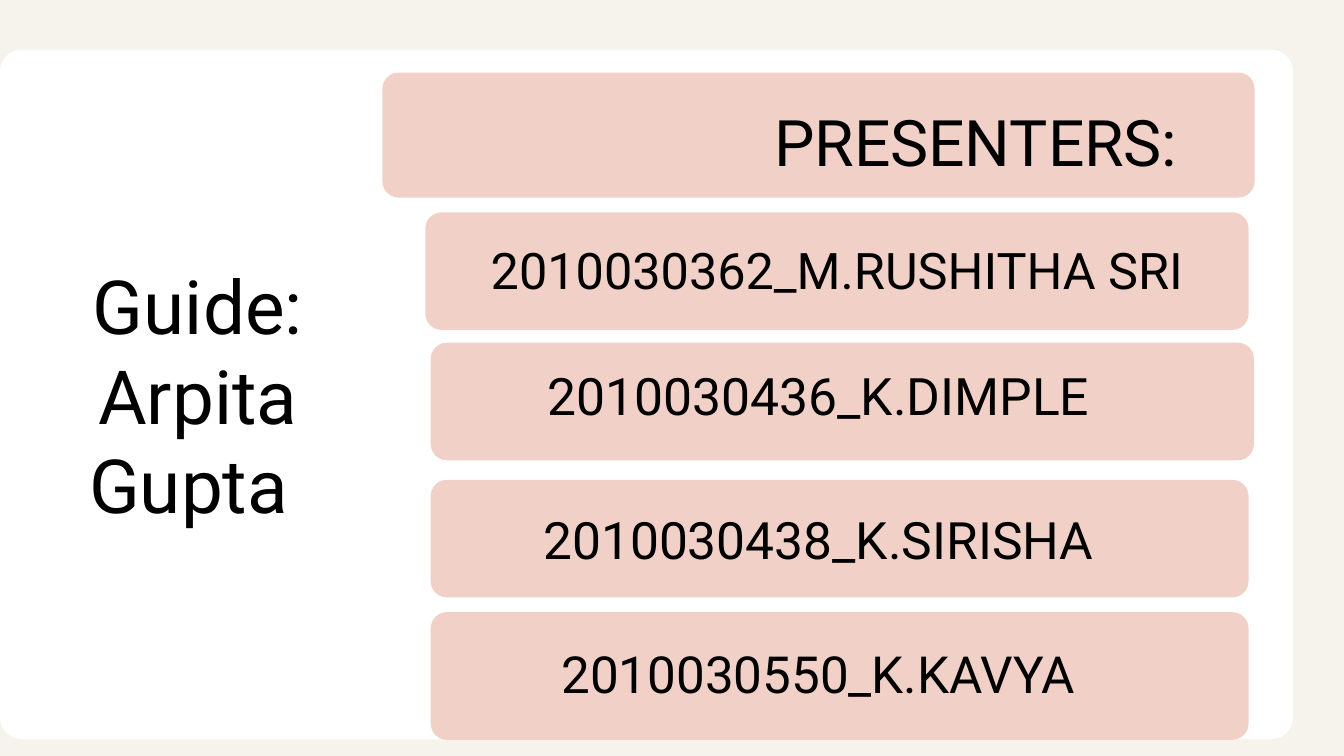
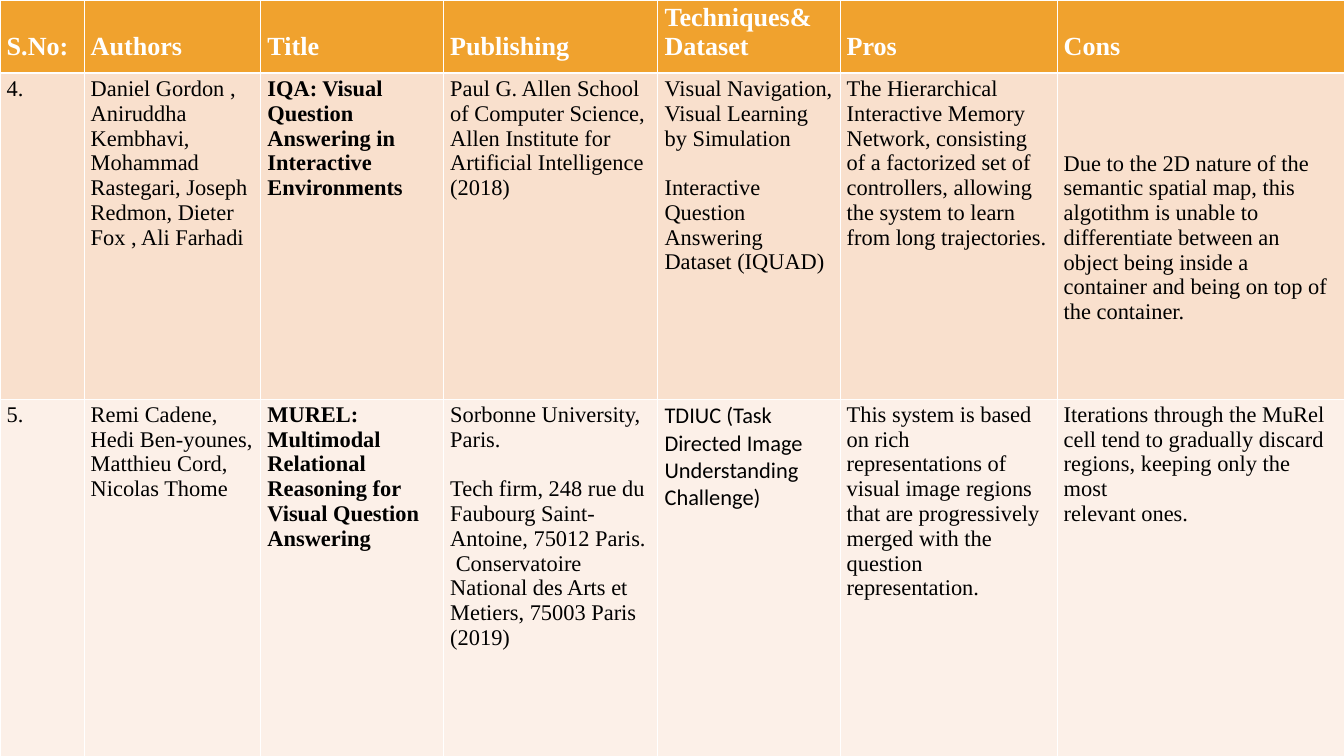
from lxml import etree
from pptx import Presentation, util as u
from pptx.dml import color
from pptx.enum import shapes, text
from pptx.oxml import ns

BACK, WHITE, BLACK = "F6F2EC", "FFFFFF", "000000"
PINK, HEAD = "F1D1C7", "F0A22E"
BANDS = ["F9E0CD", "FCF0E8"]
SANS, SERIF = "Roboto", "Times New Roman"

# Each presenter: text, size, line pitch, bar (left, top, width, height), text box
BARS = [
    ("PRESENTERS:", 68.7, 82.5, (5.69, 1.08, 12.98, 1.86), (10.46, 1.52, 8.13, 1.15)),
    ("2010030362_M.RUSHITHA SRI", 54, 58.5, (6.33, 3.16, 12.25, 1.75), (6.69, 3.65, 11.53, 0.83)),
    ("2010030436_K.DIMPLE", 55.3, 66.3, (6.41, 5.1, 12.25, 1.75), (7.34, 5.41, 9.68, 0.92)),
    ("2010030438_K.SIRISHA", 55.2, 66.2, (6.41, 7.14, 12.17, 1.75), (7.73, 7.56, 8.9, 0.92)),
    ("2010030550_K.KAVYA", 54.8, 65.8, (6.41, 9.11, 12.17, 1.9), (7.86, 9.56, 8.64, 0.9)),
]

COLS = [1.25, 2.63, 2.72, 3.19, 2.71, 3.23, 4.27]
ROWS = [1.09, 4.85, 5.31]
LINE = 1.11
TITLES = [["S.No:"], ["Authors"], ["Title"], ["Publishing"],
          ["Techniques&", "Dataset"], ["Pros"], ["Cons"]]
PAPERS = [
    [["4."],
     ["Daniel Gordon , Aniruddha Kembhavi, Mohammad Rastegari, Joseph Redmon, "
      "Dieter Fox , Ali Farhadi"],
     ["IQA: Visual Question Answering in Interactive Environments"],
     ["Paul G. Allen School of Computer Science,",
      "Allen Institute for Artificial Intelligence", "(2018)"],
     ["Visual Navigation,", "Visual Learning by Simulation",
      "Interactive Question Answering Dataset (IQUAD)"],
     ["The Hierarchical Interactive Memory Network, consisting of a factorized set of "
      "controllers, allowing the system to learn from long trajectories."],
     ["Due to the 2D nature of the semantic spatial map, this algotithm is unable to "
      "differentiate between an object being inside a container and being on top of "
      "the container."]],
    [["5."],
     ["Remi Cadene,", "Hedi Ben-younes,", "Matthieu Cord,", "Nicolas Thome"],
     ["MUREL: Multimodal Relational Reasoning for Visual Question Answering"],
     ["Sorbonne University, Paris.",
      "Tech firm, 248 rue du Faubourg Saint-Antoine, 75012 Paris.",
      " Conservatoire National des Arts et Metiers, 75003 Paris (2019)"],
     ["TDIUC (Task Directed Image Understanding Challenge)"],
     ["This system is based on rich representations of visual image regions that are "
      "progressively merged with the question representation."],
     ["Iterations through the MuRel cell tend to gradually discard regions, keeping "
      "only the most", "relevant ones."]],
]
GAPS = {(1, 4): 2, (2, 3): 1}
DROPS = {(1, 6): 3}
FONTS = {(2, 4): "Calibri"}


def paint(fill, shade):
    """Give a fill one solid colour."""
    fill.solid()
    fill.fore_color.rgb = color.RGBColor.from_string(shade)


def write(frame, lines, size=24, font=SANS, shade=BLACK, bold=False,
          align=text.PP_ALIGN.LEFT, pitch=None, gap=None):
    """Write lines as paragraphs, with a blank line's space before line number gap."""
    frame.word_wrap = True
    for i, line in enumerate(lines):
        para = frame.paragraphs[0] if i == 0 else frame.add_paragraph()
        para.alignment = align
        if pitch:
            para.line_spacing = u.Pt(pitch)
        if i == gap:
            para.space_before = u.Pt(size * LINE)
        run = para.add_run()
        run.text = line
        run.font.size, run.font.name, run.font.bold = u.Pt(size), font, bold
        run.font.color.rgb = color.RGBColor.from_string(shade)


def label(slide, area, lines, **form):
    """Add a centred text box without margins."""
    frame = slide.shapes.add_textbox(*map(u.Inches, area)).text_frame
    frame.margin_left = frame.margin_right = frame.margin_top = frame.margin_bottom = 0
    write(frame, lines, align=text.PP_ALIGN.CENTER, **form)


def panel(slide, area, shade, curve):
    """Add a plain box with corners of the given radius."""
    box = slide.shapes.add_shape(shapes.MSO_SHAPE.ROUNDED_RECTANGLE, *map(u.Inches, area))
    box.adjustments[0] = curve / min(area[2:])
    box.shadow.inherit = False
    paint(box.fill, shade)
    box.line.fill.background()


def edge(cell, **widths):
    """Draw white cell borders; keys are L, R, T and B, widths in points."""
    props = cell._tc.get_or_add_tcPr()
    for i, (side, width) in enumerate(widths.items()):
        line = etree.Element(ns.qn(f"a:ln{side}"), w=str(u.Pt(width)))
        fill = etree.SubElement(line, ns.qn("a:solidFill"))
        etree.SubElement(fill, ns.qn("a:srgbClr"), val=WHITE)
        props.insert(i, line)


def page(deck):
    """Add a blank slide with the shared background."""
    slide = deck.slides.add_slide(deck.slide_layouts[6])
    paint(slide.background.fill, BACK)
    return slide


def people(deck):
    """Build the slide that names the guide and the presenters."""
    slide = page(deck)
    panel(slide, (0, 0.74, 19.24, 10.26), WHITE, 0.32)
    label(slide, (1.12, 3.87, 3.65, 4.01), ["Guide:", "Arpita", "Gupta "], size=80, pitch=96)
    for name, size, pitch, bar, area in BARS:
        panel(slide, bar, PINK, 0.24)
        label(slide, area, [name], size=size, pitch=pitch)


def papers(deck):
    """Build the slide with the table of papers."""
    data = [TITLES] + PAPERS
    area = (0, 0, sum(COLS), sum(ROWS))
    grid = page(deck).shapes.add_table(len(ROWS), len(COLS), *map(u.Inches, area)).table
    for col, width in zip(grid.columns, COLS):
        col.width = u.Inches(width)
    for r, row in enumerate(data):
        grid.rows[r].height = u.Inches(ROWS[r])
        top = r == 0
        size = 28 if top else 24
        for c, lines in enumerate(row):
            cell = grid.cell(r, c)
            drop = 2 - len(lines) if top else DROPS.get((r, c), 0)
            cell.margin_top = u.Inches(0.05) + u.Pt(drop * size * LINE)
            paint(cell.fill, HEAD if top else BANDS[r - 1])
            edge(cell, L=1, R=1, T=3 if r == 1 else 1, B=3 if top else 1)
            write(cell.text_frame, lines, size=size, font=FONTS.get((r, c), SERIF),
                  shade=WHITE if top else BLACK, bold=top or c == 2, gap=GAPS.get((r, c)))


def main():
    """Build both slides and save the deck."""
    deck = Presentation()
    deck.slide_width, deck.slide_height = u.Inches(20), u.Inches(11.25)
    people(deck)
    papers(deck)
    deck.save("out.pptx")


if __name__ == "__main__":
    main()
